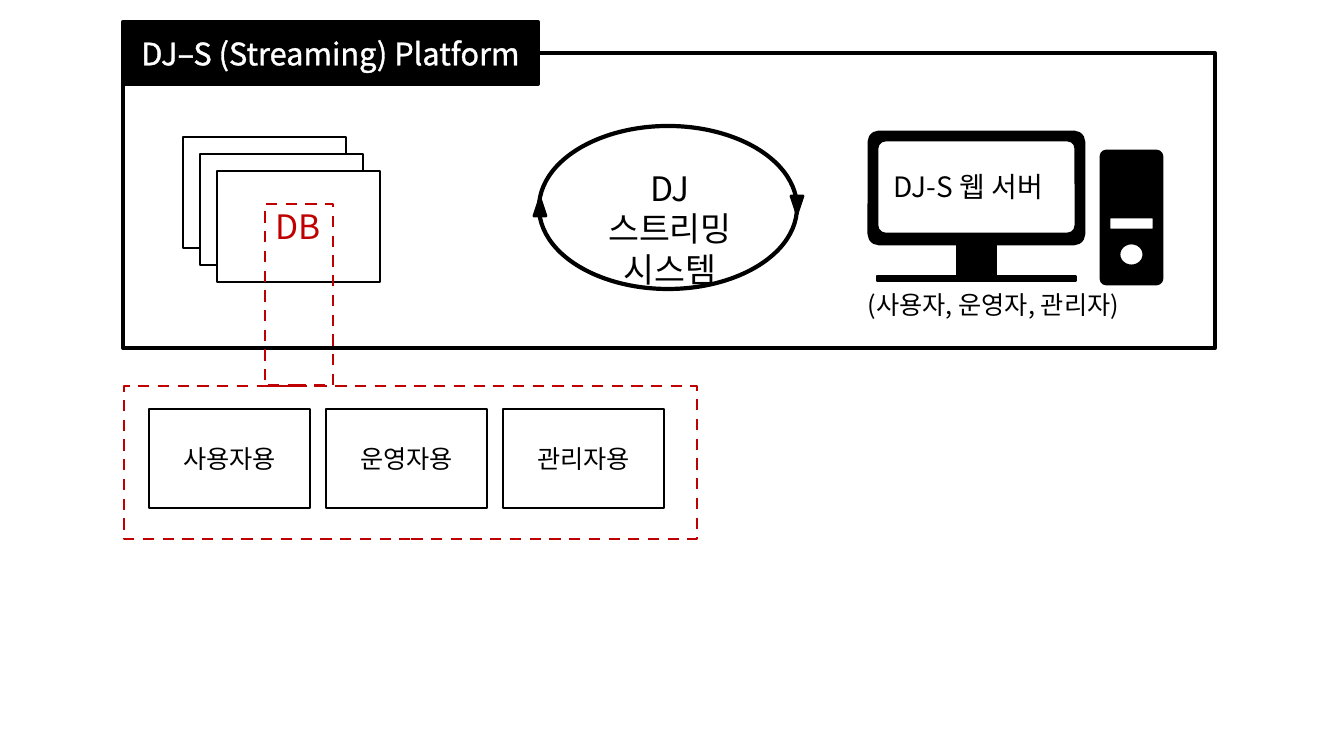
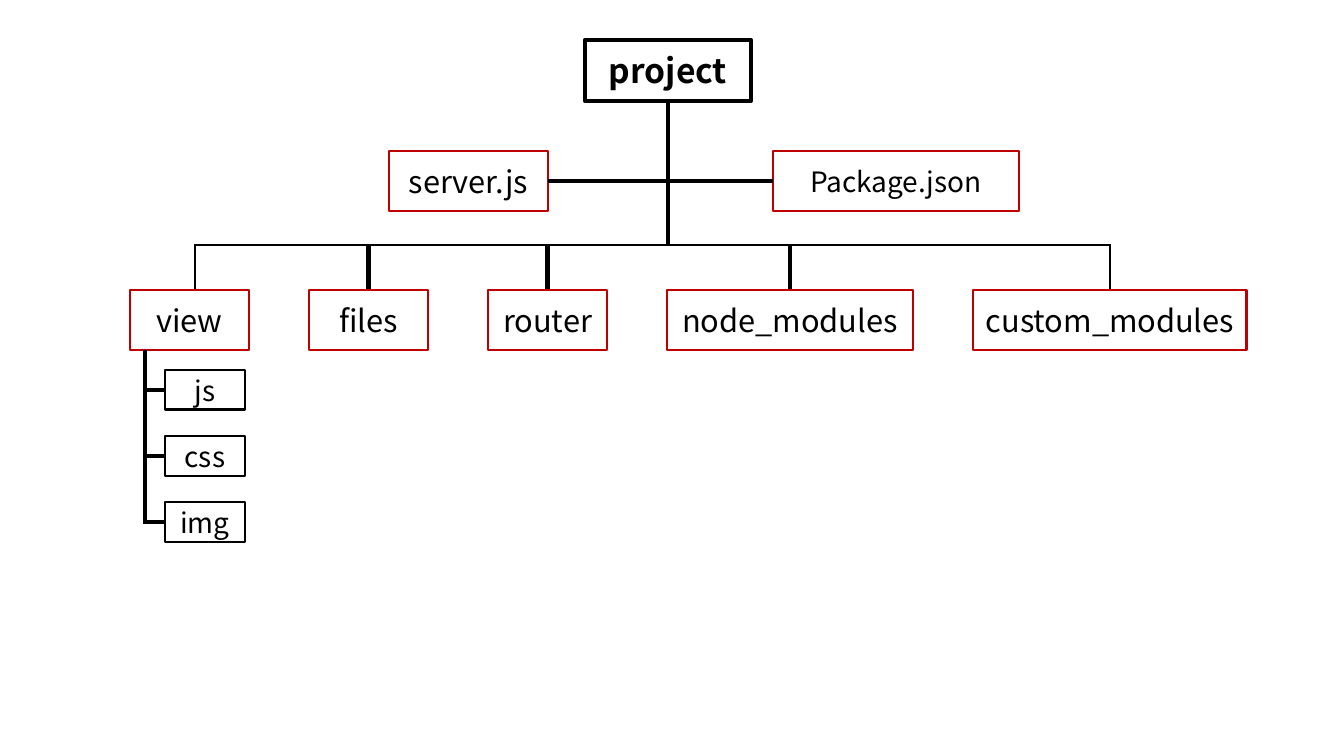
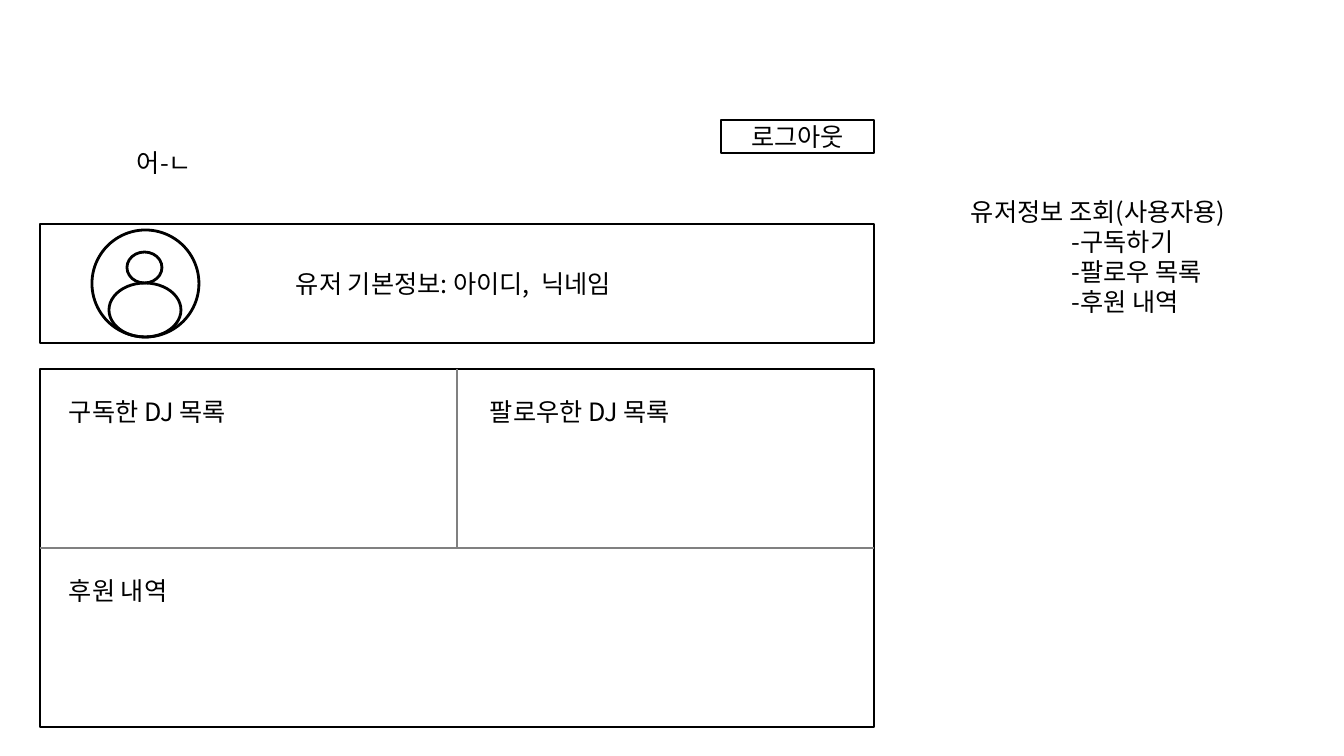
import pptx
import pptx.util
import pptx.dml.color
import pptx.enum.dml
import pptx.enum.shapes
import pptx.enum.text
import pptx.oxml.ns
import lxml.etree

PIXEL = 914400 / 100.8
FONT = "Noto Sans CJK KR"
BLACK = pptx.dml.color.RGBColor(0x00, 0x00, 0x00)
WHITE = pptx.dml.color.RGBColor(0xFF, 0xFF, 0xFF)
RED = pptx.dml.color.RGBColor(0xC0, 0x00, 0x00)
GRAY = pptx.dml.color.RGBColor(0x80, 0x80, 0x80)
KIND = pptx.enum.shapes.MSO_SHAPE
ALIGN = pptx.enum.text.PP_ALIGN
ANCHOR = pptx.enum.text.MSO_ANCHOR
TITLE_ONLY, BLANK = 5, 6
qn = pptx.oxml.ns.qn


def px(value):
    return pptx.util.Emu(round(value * PIXEL))


def style_paragraph(paragraph, size, color, align, bold=False, outlined=False, indent=0):
    paragraph.alignment = align
    font = paragraph.font
    font.name = FONT
    font.size = pptx.util.Pt(size)
    font.bold = bold
    font.color.rgb = color
    properties = paragraph._p.get_or_add_pPr()
    if indent:
        properties.set("marL", str(px(indent)))
        properties.set("indent", "0")
    defaults = properties.find(qn("a:defRPr"))
    defaults.find(qn("a:latin")).addnext(
        lxml.etree.Element(qn("a:ea"), typeface=FONT))
    if outlined:
        outline = lxml.etree.Element(qn("a:ln"), w=str(pptx.util.Pt(0.75)))
        fill = lxml.etree.SubElement(outline, qn("a:solidFill"))
        lxml.etree.SubElement(fill, qn("a:srgbClr"), val=str(color))
        defaults.insert(0, outline)


def write(shape, lines, size, color=BLACK, align=ALIGN.CENTER,
          anchor=ANCHOR.MIDDLE, **options):
    frame = shape.text_frame
    frame.word_wrap = True
    frame.auto_size = pptx.enum.text.MSO_AUTO_SIZE.NONE
    frame.vertical_anchor = anchor
    frame.text = "\n".join(lines)
    for paragraph in frame.paragraphs:
        style_paragraph(paragraph, size, color, align, **options)


def paint(shape, fill, line, weight):
    if fill is None:
        shape.fill.background()
    else:
        shape.fill.solid()
        shape.fill.fore_color.rgb = fill
    shape.line.color.rgb = line
    shape.line.width = pptx.util.Pt(weight)


def add_shape(slide, kind, left, top, width, height, fill=None, line=BLACK,
              weight=2, dashed=False):
    shape = slide.shapes.add_shape(kind, px(left), px(top), px(width), px(height))
    shape.shadow.inherit = False
    paint(shape, fill, line, weight)
    if dashed:
        shape.line.dash_style = pptx.enum.dml.MSO_LINE.DASH
    if kind == KIND.ROUNDED_RECTANGLE:
        shape.adjustments[0] = 0.09
    return shape


def add_node(slide, box, text, size, line=BLACK, weight=2, bold=False):
    node = add_shape(slide, KIND.RECTANGLE, *box, line=line, weight=weight)
    write(node, [text], size, bold=bold)


def add_text(slide, box, lines, size=18, align=ALIGN.LEFT, **options):
    left, top, width, height = box
    text_box = slide.shapes.add_textbox(px(left), px(top), px(width), px(height))
    write(text_box, lines, size, align=align, anchor=ANCHOR.TOP, **options)
    return text_box


def add_line(slide, start_x, start_y, end_x, end_y, weight=3, color=BLACK):
    line = slide.shapes.add_connector(
        pptx.enum.shapes.MSO_CONNECTOR.STRAIGHT,
        px(start_x), px(start_y), px(end_x), px(end_y))
    line.line.color.rgb = color
    line.line.width = pptx.util.Pt(weight)
    lxml.etree.SubElement(line._element.spPr, qn("a:effectLst"))


def platform_frame(slide, left, top, width, height):
    add_shape(slide, KIND.RECTANGLE, left, top, width, height, weight=3)
    title = slide.shapes.title
    title.left, title.top = px(left), px(top - 31)
    title.width, title.height = px(415), px(62)
    paint(title, BLACK, BLACK, 3)
    write(title, ["DJ–S (Streaming) Platform"], 22, WHITE, outlined=True)
    title.element.getparent().append(title.element)


def database_stack(slide, left, top, width, height):
    for index in range(3):
        card = add_shape(slide, KIND.RECTANGLE, left + 17 * index, top + 17 * index,
                         width, height, fill=WHITE if index else None)
    write(card, ["DB"], 24, RED, outlined=True)


def streaming_cycle(slide, left, top, width, height):
    add_shape(slide, KIND.ISOSCELES_TRIANGLE, left - 5, top + 72, 12, 18, fill=BLACK)
    arrow = add_shape(slide, KIND.ISOSCELES_TRIANGLE, left + width - 6, top + 70,
                      12, 18, fill=BLACK)
    arrow.rotation = 180
    add_shape(slide, KIND.OVAL, left, top, width, height, weight=3)
    add_text(slide, (left + 41, top + 37, 180, 92), ["DJ 스트리밍", "시스템"], 24,
             align=ALIGN.CENTER, outlined=True)


def web_server(slide, left, top):
    parts = [
        (KIND.RECTANGLE, 88, 54, 39, 95, BLACK),
        (KIND.ROUNDED_RECTANGLE, 0, 0, 215, 112, BLACK),
        (KIND.ROUNDED_RECTANGLE, 8, 8, 199, 94, WHITE),
        (KIND.RECTANGLE, 8, 144, 199, 5, BLACK),
        (KIND.ROUNDED_RECTANGLE, 232, 19, 61, 133, BLACK),
        (KIND.ROUNDED_RECTANGLE, 240, 85, 45, 13, WHITE),
        (KIND.OVAL, 250, 111, 25, 23, WHITE),
    ]
    for kind, x, y, width, height, fill in parts:
        add_shape(slide, kind, left + x, top + y, width, height, fill=fill)
    add_text(slide, (left + 15, top + 33, 181, 44), ["DJ-S 웹 서버"], 20)
    add_text(slide, (left - 11, top + 152, 290, 40), ["(사용자, 운영자, 관리자)"])


def database_detail(slide, left, top, width, height):
    add_shape(slide, KIND.RECTANGLE, left, top, width, height, line=RED, dashed=True)
    add_shape(slide, KIND.RECTANGLE, left + 141, top - 182, 68, 182,
              line=RED, dashed=True)
    for index, name in enumerate(["사용자용", "운영자용", "관리자용"]):
        add_node(slide, (left + 25 + 177 * index, top + 23, 161, 99), name, 18)


def build_platform(presentation):
    slide = presentation.slides.add_slide(presentation.slide_layouts[TITLE_ONLY])
    platform_frame(slide, 123, 53, 1092, 295)
    database_stack(slide, 183, 137, 163, 111)
    streaming_cycle(slide, 539, 126, 258, 163)
    web_server(slide, 869, 132)
    database_detail(slide, 124, 386, 573, 153)


def project_root(slide, left, top, width, height, bus_y):
    stem_x = left + width / 2
    files_y = top + 111
    add_node(slide, (left, top, width, height), "project", 24, weight=3, bold=True)
    add_line(slide, stem_x, top + height, stem_x, bus_y)
    add_node(slide, (389, files_y, 159, 60), "server.js", 22, RED)
    add_node(slide, (773, files_y, 246, 60), "Package.json", 20, RED)
    add_line(slide, 548, files_y + 30, 773, files_y + 30)


def folder_row(slide, left, top, height, bus_y):
    folders = [("view", 119), ("files", 119), ("router", 119),
               ("node_modules", 246), ("custom_modules", 274)]
    gap = 60
    bus_left = left + 65
    last = len(folders) - 1
    for index, (name, width) in enumerate(folders):
        drop_x = max(left + width / 2, bus_left)
        add_line(slide, drop_x, bus_y, drop_x, top, weight=2 if index in (0, last) else 3)
        add_node(slide, (left, top, width, height), name, 22, RED)
        left += width + gap
    add_line(slide, bus_left - 1, bus_y, drop_x + 1, bus_y, weight=2)


def view_folders(slide, left, top, width, height):
    trunk_x = left - 20
    for index, name in enumerate(["js", "css", "img"]):
        node_top = top + 66 * index
        branch_y = node_top + height / 2
        add_node(slide, (left, node_top, width, height), name, 20)
        add_line(slide, trunk_x, branch_y, left, branch_y)
    add_line(slide, trunk_x, top - 20, trunk_x, branch_y + 2)


def build_project_tree(presentation):
    slide = presentation.slides.add_slide(presentation.slide_layouts[BLANK])
    bus_y = 245
    project_root(slide, 585, 40, 166, 61, bus_y)
    folder_row(slide, 130, 290, 60, bus_y)
    view_folders(slide, 165, 370, 80, 40)


def user_card(slide, left, top, width, height):
    add_shape(slide, KIND.RECTANGLE, left, top, width, height)
    for x, y, oval_width, oval_height in [(52, 6, 107, 107), (87, 28, 35, 31),
                                          (69, 59, 72, 54)]:
        add_shape(slide, KIND.OVAL, left + x, top + y, oval_width, oval_height)
    add_text(slide, (left + 246, top + 39, 370, 40), ["유저 기본정보: 아이디,  닉네임"])


def list_grid(slide, left, top, width, height):
    middle_x, middle_y = left + width / 2, top + height / 2
    add_shape(slide, KIND.RECTANGLE, left, top, width, height)
    add_line(slide, left, middle_y, left + width, middle_y, 2, GRAY)
    add_line(slide, middle_x, top, middle_x, middle_y, 2, GRAY)
    add_text(slide, (left + 19, top + 22, 180, 40), ["구독한 DJ 목록"])
    add_text(slide, (middle_x + 23, top + 22, 204, 40), ["팔로우한 DJ 목록"])
    add_text(slide, (left + 19, middle_y + 22, 127, 40), ["후원 내역"])


def user_notes(slide, left, top, width, height):
    notes = add_text(slide, (left, top, width, height),
                     ["유저정보 조회(사용자용)", "-구독하기", "-팔로우 목록", "-후원 내역"])
    for paragraph in notes.text_frame.paragraphs[1:]:
        paragraph._p.get_or_add_pPr().set("marL", str(px(101)))


def build_user_page(presentation):
    slide = presentation.slides.add_slide(presentation.slide_layouts[BLANK])
    user_notes(slide, 961, 191, 282, 132)
    user_card(slide, 40, 224, 834, 119)
    list_grid(slide, 40, 369, 834, 358)
    add_text(slide, (127, 142, 92, 40), ["어-ㄴ"])
    add_node(slide, (721, 120, 153, 33), "로그아웃", 18)


presentation = pptx.Presentation()
presentation.slide_width = px(1344)
presentation.slide_height = px(756)
build_platform(presentation)
build_project_tree(presentation)
build_user_page(presentation)
presentation.save("out.pptx")
